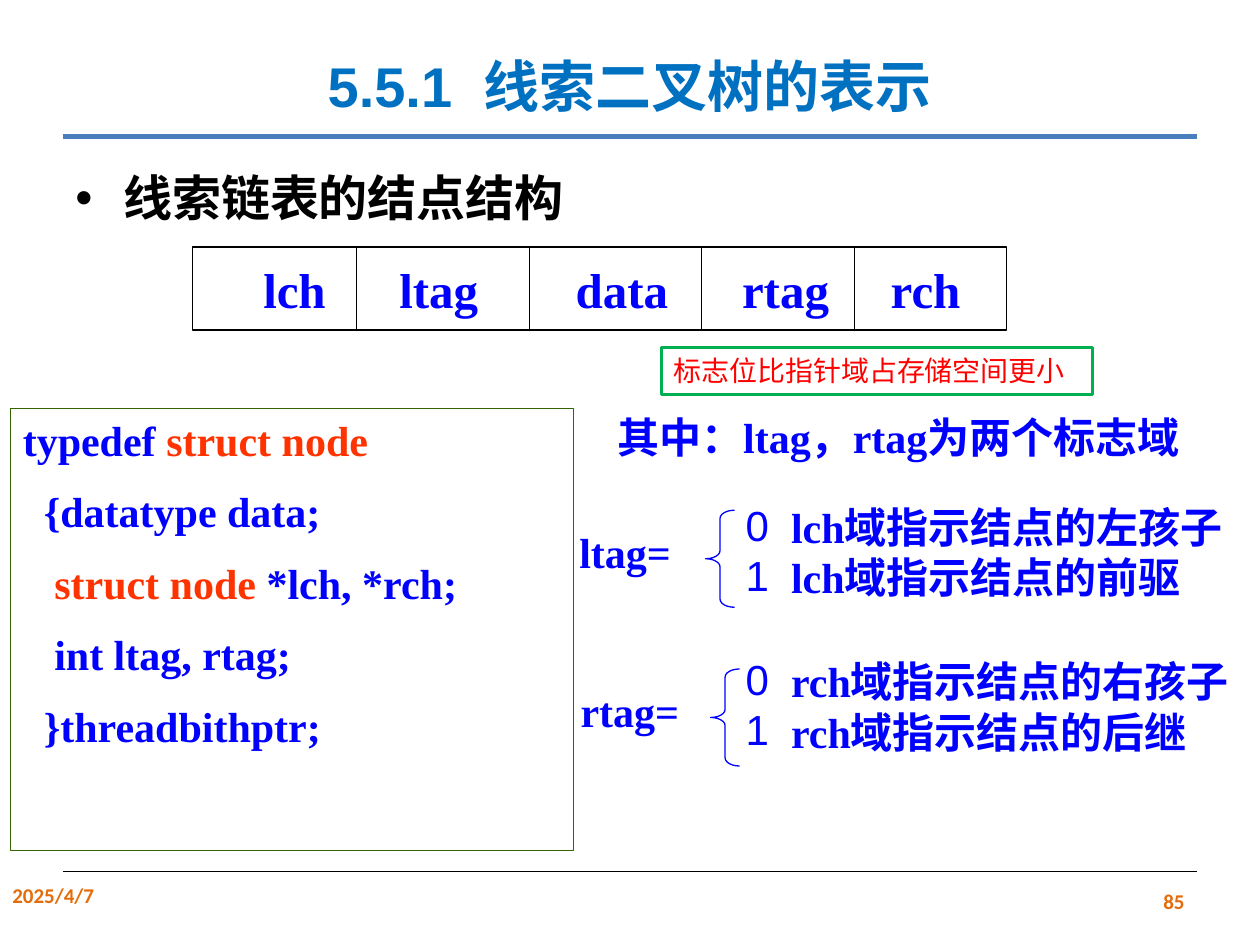
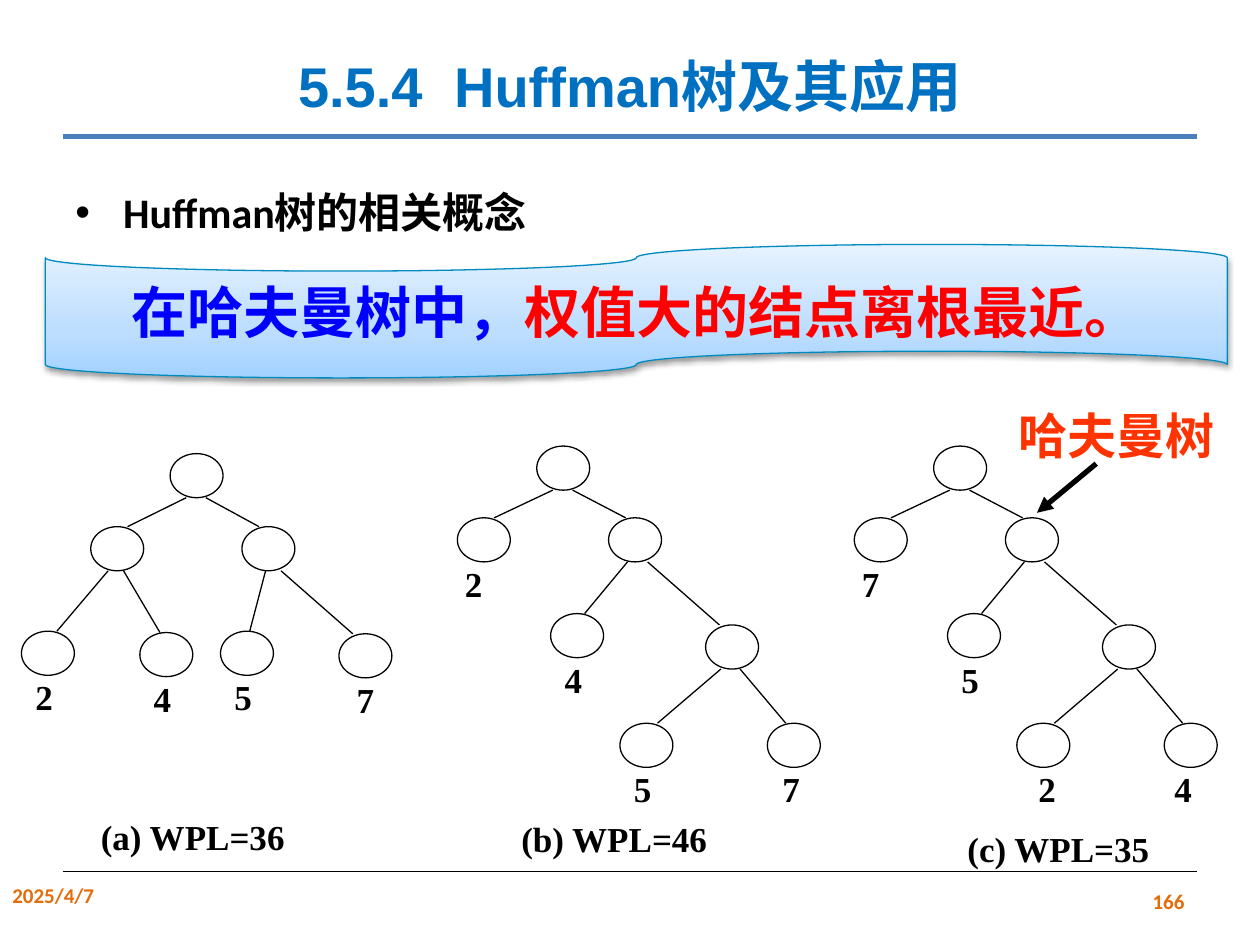
from lxml.etree import SubElement
from pptx import Presentation
from pptx.dml.color import RGBColor
from pptx.enum.shapes import MSO_CONNECTOR as Connector, MSO_SHAPE as Preset
from pptx.enum.text import MSO_ANCHOR as Anchor, MSO_AUTO_SIZE as AutoSize, PP_ALIGN as Align
from pptx.oxml.ns import qn
from pptx.util import Inches, Pt

# The slide is a grid of 100 columns by 75 rows
COLUMNS, ROWS = 100, 75
CELL = Inches(0.1)

COLORS = {
    "title": "0070C0", "rule": "4B7EBC", "footer": "E46C0A", "black": "000000",
    "white": "FFFFFF", "blue": "0000FF", "orange": "FF3300", "red": "FF0000",
    "code_border": "336600", "note_border": "00B050", "banner_border": "008BC0",
}
BANNER_STOPS = [(0, "A2D1FF"), (35, "BDDEFF"), (100, "E6F2FF")]
SERIF, SANS = "Times New Roman", "Calibri"
SERIF_BLUE = {"size": 24, "color": "blue"}
NUMBER_GAP = (" ", {"tracking": 9})

# Node structure: fields, tab stops in inches from the first field, dividing columns
FIELDS = ["lch", "ltag", "data", "rtag", "rch"]
FIELD_TABS = [1.08, 2.48, 3.8, 4.98]
FIELD_DIVIDERS = [28.3, 42, 55.7, 67.8]

STRUCT = ("struct node", {"color": "orange"})
CODE = [
    ["typedef ", STRUCT],
    ["  {datatype data;"],
    ["   ", STRUCT, " *lch, *rch;"],
    ["   int ltag, rtag;"],
    ["  }threadbithptr;"],
]

# Trees: left, top and parent index of every node, parents first
FULL_TREE = [(13.5, 36, None), (7.2, 41.8, 0), (19.2, 41.8, 0), (1.7, 50.1, 1),
             (11.1, 50.2, 1), (17.5, 50.1, 2), (26.9, 50.3, 2)]
CHAIN_TREE = [(42.6, 35.4, None), (36.3, 41.1, 0), (48.3, 41.1, 0), (43.7, 48.7, 2),
              (56, 49.6, 2), (49.2, 57.4, 4), (60.9, 57.4, 4)]
CHAIN_STEP = 31.5
NODE_WIDTH, NODE_HEIGHT = 4.2, 3.5
EDGE_SHIFT = 0.13  # share of the sideways step by which an edge end leaves the centre

# Leaf weights with the sideways nudge of each label
FULL_WEIGHTS = [("2", 0), ("4", 0), ("5", 0), ("7", 0.3)]
CHAIN_WEIGHTS = [("2", -0.5), ("4", 0), ("5", 0), ("7", 0.1)]
HUFFMAN_WEIGHTS = [("7", -0.5), ("5", 0), ("2", 0.6), ("4", -0.3)]


def grid(*lengths):
    return [round(length * CELL) for length in lengths]


def rgb(name):
    return RGBColor.from_string(COLORS[name])


def write_text(shape, paragraphs, size=24, font=SERIF, color="black", bold=True,
               align=Align.LEFT, anchor=Anchor.TOP, wrap=True, gap=0,
               line_spacing=None, bullets=None, indent=0.38, tabs=()):
    """Write paragraphs, each a list of runs: text, or text with its own format."""
    frame = shape.text_frame
    frame.word_wrap, frame.vertical_anchor = wrap, anchor
    frame.auto_size = AutoSize.NONE
    for index, runs in enumerate(paragraphs):
        paragraph = frame.paragraphs[0] if index == 0 else frame.add_paragraph()
        if bullets:
            add_bullet(paragraph, bullets[index], indent)
        if tabs:
            add_tabs(paragraph, tabs)
        paragraph.alignment = align
        paragraph.space_before = Pt(gap if index else 0)
        if line_spacing:
            paragraph.line_spacing = line_spacing
        for item in runs:
            text, own = (item, {}) if isinstance(item, str) else item
            run = paragraph.add_run()
            run.text = text
            run.font.size, run.font.name, run.font.bold = Pt(size), font, bold
            run.font.color.rgb = rgb(own.get("color", color))
            if "tracking" in own:
                run.font._element.set("spc", str(own["tracking"] * 100))


def add_bullet(paragraph, character, indent):
    properties = paragraph._p.get_or_add_pPr()
    properties.set("marL", str(Inches(indent)))
    properties.set("indent", str(-Inches(indent)))
    SubElement(properties, qn("a:buFont"), typeface="Arial")
    SubElement(properties, qn("a:buChar"), char=character)


def add_tabs(paragraph, positions):
    stops = SubElement(paragraph._p.get_or_add_pPr(), qn("a:tabLst"))
    for position in positions:
        SubElement(stops, qn("a:tab"), pos=str(Inches(position)), algn="l")


def add_text(slide, box, paragraphs, **text_format):
    write_text(slide.shapes.add_textbox(*grid(*box)), paragraphs, **text_format)


def add_shape(slide, preset, box, border="black", width=0.75, fill=None):
    shape = slide.shapes.add_shape(preset, *grid(*box))
    shape.shadow.inherit = False
    if fill:
        shape.fill.solid()
        shape.fill.fore_color.rgb = rgb(fill)
    else:
        shape.fill.background()
    shape.line.color.rgb, shape.line.width = rgb(border), Pt(width)
    return shape


def add_line(slide, start, end, color="black", width=0.75, arrow=False):
    line = slide.shapes.add_connector(Connector.STRAIGHT, *grid(*start, *end))
    line.line.color.rgb, line.line.width = rgb(color), Pt(width)
    if arrow:
        SubElement(line.line._get_or_add_ln(), qn("a:tailEnd"), type="triangle")
    SubElement(line._element.spPr, qn("a:effectLst"))


def add_frame_slide(presentation, number, title, page):
    """Add a slide with the shared title, rules and footer."""
    slide = presentation.slides.add_slide(presentation.slide_layouts[5])
    heading = slide.shapes.title
    heading.left, heading.top, heading.width, heading.height = grid(5, 0, 90, 10.9)
    write_text(heading, [[number, NUMBER_GAP, title]], size=32, font="Arial",
               color="title", align=Align.CENTER, anchor=Anchor.MIDDLE,
               line_spacing=1.5)
    add_line(slide, (5, 10.83), (95, 10.83), "rule", 2.75)
    add_line(slide, (5, 69.17), (95, 69.17))
    footer = {"size": 12, "font": SANS, "color": "footer"}
    add_text(slide, (0, 69.55, 23.3, 4), [["2025/4/7"]], **footer)
    add_text(slide, (71.7, 69.5, 23.3, 4), [[page]], align=Align.RIGHT,
             anchor=Anchor.MIDDLE, **footer)
    return slide


def add_topic(slide, top, text, **text_format):
    add_text(slide, (5, top, 90, 6), [[text]], bullets="•", line_spacing=Pt(36),
             **text_format)


def add_node_structure(slide):
    top, height = 19.6, 6.6
    row = add_shape(slide, Preset.RECTANGLE, (15.3, top, 64.6, height))
    row.text_frame.margin_left = Inches(0.56)
    write_text(row, [["\t".join(FIELDS)]], size=28, color="blue",
               anchor=Anchor.MIDDLE, tabs=FIELD_TABS)
    for column in FIELD_DIVIDERS:
        add_line(slide, (column, top), (column, top + height))


def add_tag_cases(slide, tag, label_left, brace_left, brace_top, list_top, cases):
    add_text(slide, (label_left, brace_top + 0.8, 18, 4.6), [[tag + "="]], **SERIF_BLUE)
    brace = add_shape(slide, Preset.LEFT_BRACE, (brace_left, brace_top, 2.3, 7.7), "blue")
    brace.adjustments[0] = 0.28
    add_text(slide, (58.2, list_top, 43.1, 8.5), [[case] for case in cases],
             bullets="01", indent=0.36, **SERIF_BLUE)


def add_tree(slide, nodes, weights, shift=0):
    """Draw nodes, their edges and the weights below the leaves."""
    parents = {parent for _, _, parent in nodes}
    remaining = iter(weights)
    for index, (left, top, parent) in enumerate(nodes):
        left += shift
        center = left + NODE_WIDTH / 2
        add_shape(slide, Preset.OVAL, (left, top, NODE_WIDTH, NODE_HEIGHT))
        if parent is not None:
            parent_center = nodes[parent][0] + shift + NODE_WIDTH / 2
            inset = EDGE_SHIFT * (center - parent_center)
            add_line(slide, (parent_center + inset, nodes[parent][1] + NODE_HEIGHT),
                     (center - inset, top))
        if index not in parents:
            weight, nudge = next(remaining)
            add_text(slide, (center - 2.1 + nudge, top + 3, 3.6, 4.4), [[weight]],
                     size=20, align=Align.CENTER, anchor=Anchor.MIDDLE)


def add_banner(slide, box, runs):
    banner = add_shape(slide, Preset.FLOWCHART_PUNCHED_TAPE, box, "banner_border")
    banner.fill.gradient()
    banner.fill.gradient_angle = 90
    properties = banner._element.spPr
    stops = properties.find(".//" + qn("a:gsLst"))
    stops.clear()
    for position, color in BANNER_STOPS:
        stop = SubElement(stops, qn("a:gs"), pos=str(position * 1000))
        SubElement(stop, qn("a:srgbClr"), val=color)
    shadow = SubElement(properties.find(qn("a:effectLst")), qn("a:outerShdw"),
                        blurRad=str(Pt(3.1)), dist=str(Pt(1.6)), dir="5400000",
                        rotWithShape="0")
    shade = SubElement(shadow, qn("a:srgbClr"), val=COLORS["black"])
    SubElement(shade, qn("a:alpha"), val="38000")
    write_text(banner, [runs], size=32, font="Cambria", color="blue",
               align=Align.CENTER, anchor=Anchor.MIDDLE)


def build_threaded_tree_slide(presentation):
    slide = add_frame_slide(presentation, "5.5.1", "线索二叉树的表示", "85")
    add_topic(slide, 12.5, "线索链表的结点结构", size=28)
    add_node_structure(slide)

    # Type definition
    code = add_shape(slide, Preset.RECTANGLE, (0.83, 32.4, 44.7, 35.1), "code_border")
    write_text(code, CODE, gap=12, **SERIF_BLUE)

    # Meaning of the two tags
    add_text(slide, (48, 32.2, 53.4, 11.1), [["其中：ltag，rtag为两个标志域"]], **SERIF_BLUE)
    add_tag_cases(slide, "ltag", 45, 56, 40.5, 39.3,
                  ["lch域指示结点的左孩子", "lch域指示结点的前驱"])
    add_tag_cases(slide, "rtag", 45.1, 56.4, 53.1, 51.55,
                  ["rch域指示结点的右孩子", "rch域指示结点的后继"])
    note = add_shape(slide, Preset.RECTANGLE, (52.5, 27.6, 34.2, 3.7), "note_border",
                     1.5, "white")
    write_text(note, [["标志位比指针域占存储空间更小"]], size=16, font=SANS,
               color="red", bold=False)


def build_huffman_slide(presentation):
    slide = add_frame_slide(presentation, "5.5.4", "Huffman树及其应用", "166")
    add_topic(slide, 13.3, "Huffman树的相关概念", font=SANS)

    # Three trees with the same leaf weights
    add_tree(slide, FULL_TREE, FULL_WEIGHTS)
    add_tree(slide, CHAIN_TREE, CHAIN_WEIGHTS)
    add_tree(slide, CHAIN_TREE, HUFFMAN_WEIGHTS, CHAIN_STEP)
    captions = [(6.95, 64.2, "(a) WPL=36"), (40.4, 64.35, "(b) WPL=46"),
                (75.65, 65.15, "(c) WPL=35")]
    for left, top, caption in captions:
        add_text(slide, (left, top, 16.7, 4.4), [[caption]], size=20, wrap=False,
                 align=Align.CENTER, anchor=Anchor.MIDDLE)

    # Pointer to the best tree
    add_line(slide, (87, 36.8), (82.3, 40.7), width=3, arrow=True)
    add_text(slide, (79.7, 31.7, 17.8, 5.7), [["哈夫曼树"]], size=28, color="orange",
             wrap=False, align=Align.CENTER)
    add_banner(slide, (3.6, 19.4, 93.8, 10.6),
               ["在哈夫曼树中，", ("权值大的结点离根最近。", {"color": "red"})])


def main():
    presentation = Presentation()
    presentation.slide_width, presentation.slide_height = grid(COLUMNS, ROWS)
    build_threaded_tree_slide(presentation)
    build_huffman_slide(presentation)
    presentation.save("out.pptx")


if __name__ == "__main__":
    main()
